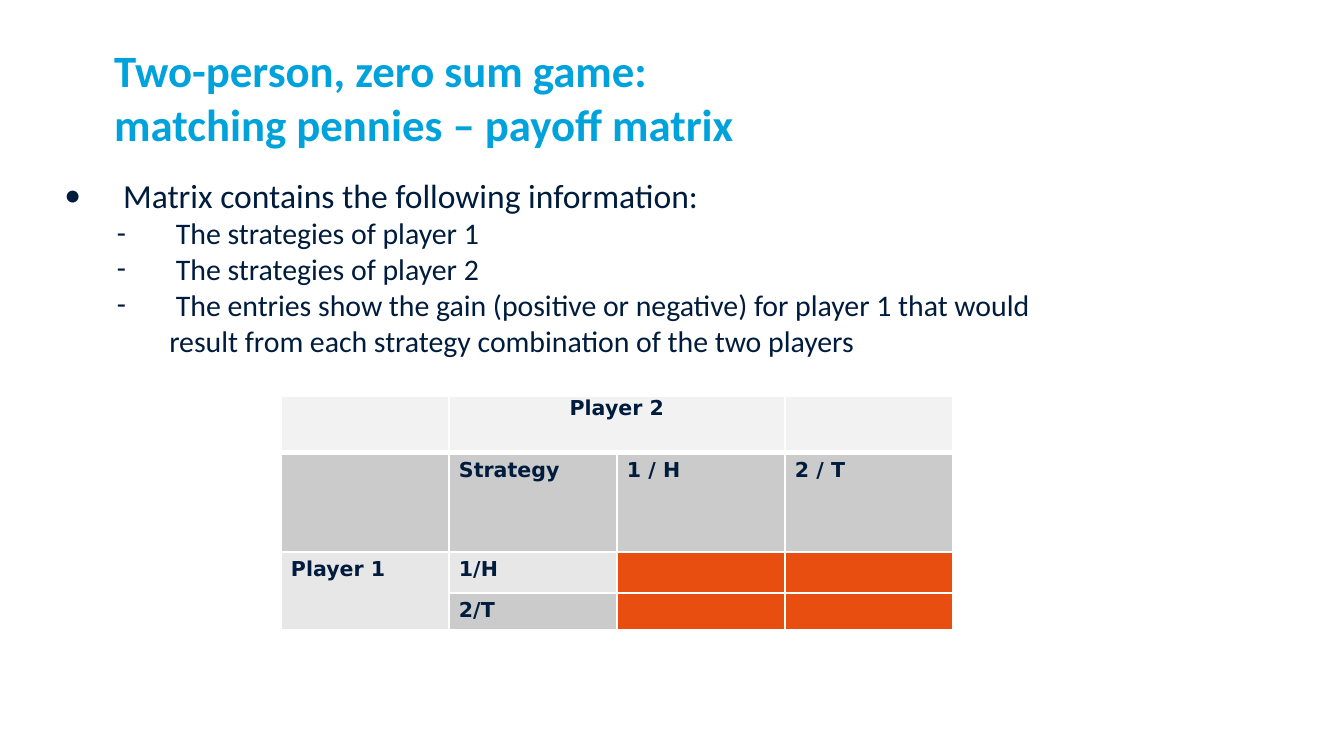
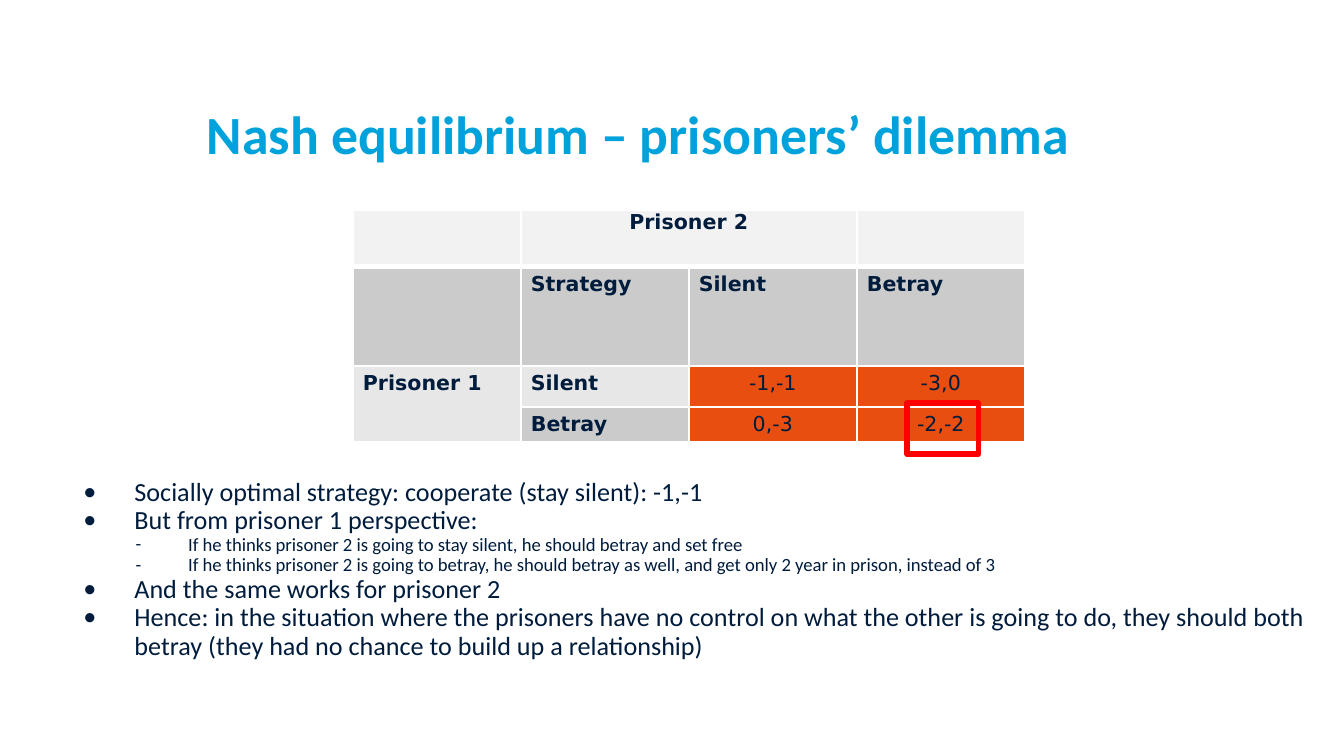
from lxml import etree
from pptx import Presentation
from pptx.dml.color import RGBColor
from pptx.enum.shapes import MSO_SHAPE
from pptx.enum.text import PP_ALIGN
from pptx.oxml.ns import qn
from pptx.util import Inches, Pt

RECTANGLE = MSO_SHAPE.RECTANGLE
CENTER = PP_ALIGN.CENTER

CELL = 0.1  # side of one grid square, in inches
TITLE_COLOR, TEXT_COLOR, MARK_COLOR = "00A2DB", "001C3D", "FF0000"
HEADER_FILL, DARK_FILL, LIGHT_FILL, PAYOFF_FILL = "F2F2F2", "CBCBCB", "E7E7E7", "E84E10"
BORDER_COLOR = "FFFFFF"
TEXT_FONT, TABLE_FONT = "Calibri", "DejaVu Sans"
TABLE_SIZE = 11
ROW_FILLS = [HEADER_FILL, DARK_FILL, LIGHT_FILL, DARK_FILL]
ROW_HEIGHTS = [4.2, 7.4, 3.05, 2.5]
COLUMN_WIDTH = 12.5
BULLETS = [("•", 3.8, 3.8), ("-", 7.8, 3.9)]  # sign, indent, hanging part


def color(value):
    return RGBColor.from_string(value)


def grid(squares):
    return Inches(squares * CELL)


def set_borders(cell, widths):
    """Draw the left, right, top and bottom border, with widths in points."""
    properties = cell._tc.get_or_add_tcPr()
    for side, width in zip("LRTB", widths):
        line = etree.SubElement(properties, qn(f"a:ln{side}"), w=str(Pt(width)))
        fill = etree.SubElement(line, qn("a:solidFill"))
        etree.SubElement(fill, qn("a:srgbClr"), val=BORDER_COLOR)


class Deck:
    def __init__(self):
        self.deck = Presentation()
        self.deck.slide_width = Inches(10)
        self.deck.slide_height = Inches(10) * 9 // 16
        self.page = None

    def new_page(self):
        self.page = self.deck.slides.add_slide(self.deck.slide_layouts[6])

    def style(self, paragraph, name, size, shade, bold=False):
        font = paragraph.font
        font.name, font.size, font.bold = name, Pt(size), bold
        font.color.rgb = color(shade)

    def frame(self, *place):
        box = self.page.shapes.add_textbox(*map(grid, place))
        frame = box.text_frame
        frame.word_wrap = True
        frame.margin_left = frame.margin_right = 0
        frame.margin_top = frame.margin_bottom = 0
        return frame

    def title(self, text, left, top, size):
        paragraph = self.frame(left, top, 68.4, 6.2).paragraphs[0]
        paragraph.text = text
        self.style(paragraph, TEXT_FONT, size, TITLE_COLOR, True)

    def bullets(self, items, place, sizes, spacing):
        """Write (level, text) items, with one text size per level."""
        frame = self.frame(*place)
        for index, (level, text) in enumerate(items):
            paragraph = frame.add_paragraph() if index else frame.paragraphs[0]
            paragraph.text = text
            paragraph.level = level
            paragraph.line_spacing = spacing
            sign, indent, hanging = BULLETS[level]
            properties = paragraph._p.get_or_add_pPr()
            properties.set("marL", str(grid(indent)))
            properties.set("indent", str(-grid(hanging)))
            etree.SubElement(properties, qn("a:buFont"), typeface=TEXT_FONT)
            etree.SubElement(properties, qn("a:buChar"), char=sign)
            self.style(paragraph, TEXT_FONT, sizes[level], TEXT_COLOR)

    def payoff_matrix(self, rows, left, top):
        size = len(rows)
        table = self.page.shapes.add_table(
            size, size, grid(left), grid(top),
            grid(COLUMN_WIDTH * size), grid(sum(ROW_HEIGHTS))).table
        table.first_row = table.horz_banding = False
        for column in table.columns:
            column.width = grid(COLUMN_WIDTH)
        for row, height in zip(table.rows, ROW_HEIGHTS):
            row.height = grid(height)
        for row, texts in enumerate(rows):
            for column, text in enumerate(texts):
                self.matrix_cell(table.cell(row, column), row, column, text)
        table.cell(0, 1).merge(table.cell(0, 2))
        table.cell(2, 0).merge(table.cell(3, 0))

    def matrix_cell(self, cell, row, column, text):
        header = row == 0
        payoff = row > 1 and column > 1
        set_borders(cell, (1, 1, 3 if row == 1 else 1, 3 if header else 1))
        cell.fill.solid()
        cell.fill.fore_color.rgb = color(PAYOFF_FILL if payoff else ROW_FILLS[row])
        cell.margin_left = cell.margin_right = grid(0 if header else 0.75)
        cell.margin_top = grid(0 if header else 0.5)
        cell.margin_bottom = grid(0 if header else 0.4)
        paragraph = cell.text_frame.paragraphs[0]
        if not text:
            etree.SubElement(paragraph._p, qn("a:endParaRPr"), sz=str(TABLE_SIZE * 100))
            return
        paragraph.text = text
        if header or payoff:
            paragraph.alignment = CENTER
        if not header:
            paragraph.line_spacing = 0.93
        self.style(paragraph, TABLE_FONT, TABLE_SIZE, TEXT_COLOR, not payoff)

    def mark(self, *place):
        frame = self.page.shapes.add_shape(RECTANGLE, *map(grid, place))
        frame.shadow.inherit = False
        frame.fill.background()
        frame.line.color.rgb = color(MARK_COLOR)
        frame.line.width = Pt(3)


def matching_pennies(deck):
    deck.new_page()
    deck.title("Two-person, zero sum game: \vmatching pennies – payoff matrix", 8.5, 3.2, 24)
    deck.bullets([
        (0, " Matrix contains the following information:"),
        (1, " The strategies of player 1"),
        (1, " The strategies of player 2"),
        (1, " The entries show the gain (positive or negative) for player 1 that would "
            "result from each strategy combination of the two players"),
    ], (4.8, 13, 76.6, 33.8), (18, 16), 1.0)
    deck.payoff_matrix([
        ["", "Player 2", "", ""],
        ["", "Strategy", "1 / H", "2 / T"],
        ["Player 1", "1/H", "", ""],
        ["", "2/T", "", ""],
    ], 20.9, 29.5)


def prisoners_dilemma(deck):
    deck.new_page()
    deck.title("Nash equilibrium – prisoners’ dilemma", 15.4, 7.5, 28.8)
    deck.bullets([
        (0, "Socially optimal strategy: cooperate (stay silent): -1,-1"),
        (0, "But from prisoner 1 perspective:"),
        (1, "If he thinks prisoner 2 is going to stay silent, he should betray and set free"),
        (1, "If he thinks prisoner 2 is going to betray, he should betray as well, "
            "and get only 2 year in prison, instead of 3"),
        (0, "And the same works for prisoner 2"),
        (0, "Hence: in the situation where the prisoners have no control on what the other "
            "is going to do, they should both betray (they had no chance to build up "
            "a relationship)"),
    ], (6.2, 35.65, 91.2, 13.8), (14, 10), 0.9)
    deck.payoff_matrix([
        ["", "Prisoner 2", "", ""],
        ["", "Strategy", "Silent", "Betray"],
        ["Prisoner 1", "Silent", "-1,-1", "-3,0"],
        ["", "Betray", "0,-3", "-2,-2"],
    ], 26.25, 15.65)
    deck.mark(67.5, 30, 5.3, 3.8)


def main():
    deck = Deck()
    matching_pennies(deck)
    prisoners_dilemma(deck)
    deck.deck.save("out.pptx")


if __name__ == "__main__":
    main()
